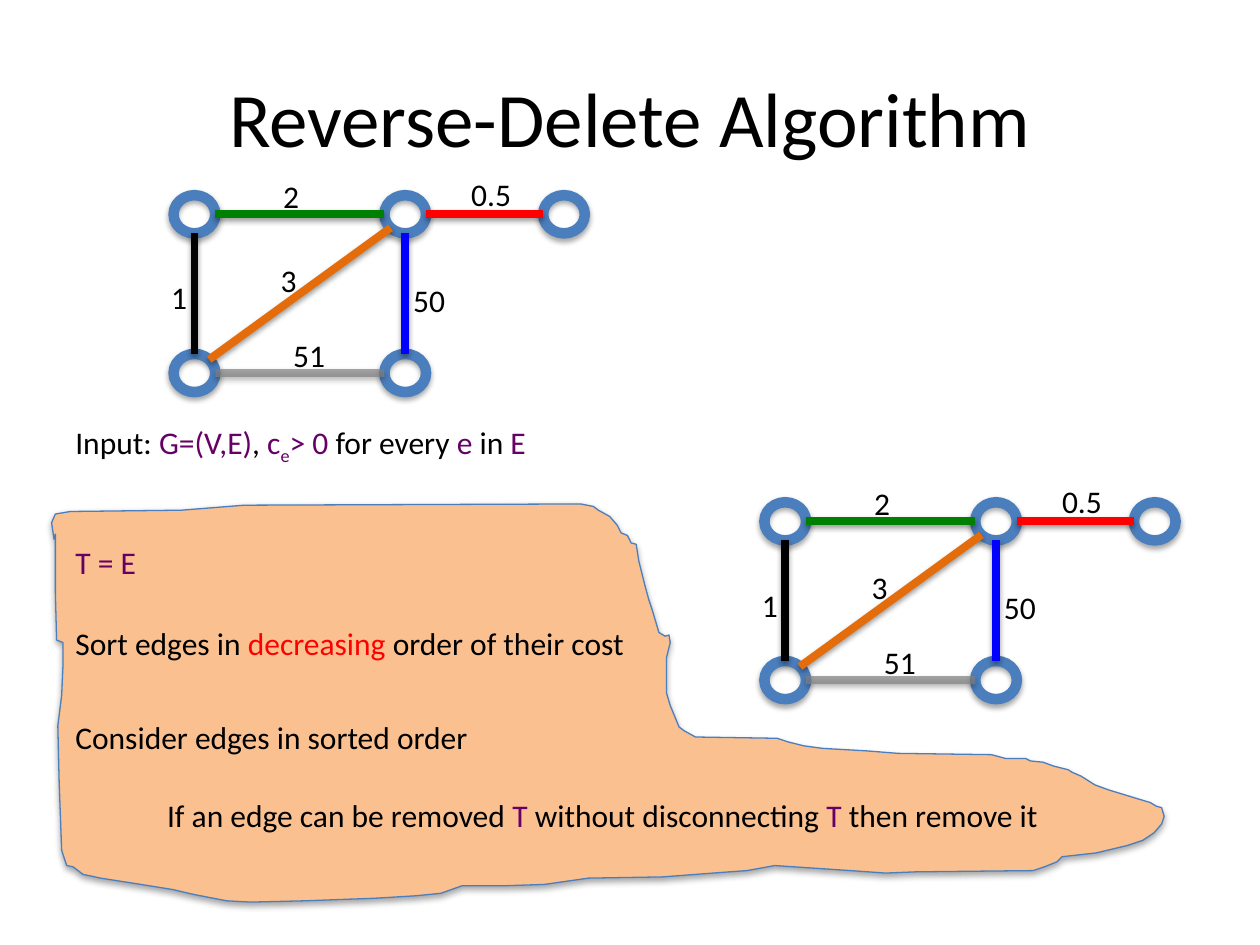
from dataclasses import dataclass
from math import hypot

from lxml import etree
from pptx import Presentation
from pptx.dml.color import RGBColor
from pptx.enum.shapes import MSO_CONNECTOR, MSO_SHAPE
from pptx.enum.text import MSO_ANCHOR, MSO_AUTO_SIZE, PP_ALIGN
from pptx.oxml.ns import qn
from pptx.util import Cm, Pt

LINE = MSO_CONNECTOR.STRAIGHT
OVAL = MSO_SHAPE.OVAL
LEFT, CENTER = PP_ALIGN.LEFT, PP_ALIGN.CENTER
TOP, MIDDLE = MSO_ANCHOR.TOP, MSO_ANCHOR.MIDDLE
GROW, FIXED = MSO_AUTO_SIZE.SHAPE_TO_FIT_TEXT, MSO_AUTO_SIZE.NONE


@dataclass(frozen=True)
class Theme:
    font: str = "Calibri"
    title: int = 44
    body: int = 18
    ring: float = 6
    edge: float = 4.5
    rim: float = 0.75
    ink: str = "000000"
    math: str = "660066"
    red: str = "FF0000"
    blue: str = "4B7EBC"
    peach: str = "FAC090"


@dataclass(frozen=True)
class Run:
    text: str
    color: str = Theme.ink
    base: int = 0


@dataclass(frozen=True)
class Note:
    x: float
    y: float
    width: float
    runs: tuple


@dataclass(frozen=True)
class Edge:
    start: str
    end: str
    cost: str
    color: str
    x: float
    y: float
    width: float = 0.84
    alpha: int = 100


THEME = Theme()
NODE_W, NODE_H = 0.84, 0.77
ROW_H = 1.02
NODES = {
    "a": (3.92, 4.32),
    "b": (8.17, 4.32),
    "c": (11.37, 4.32),
    "d": (8.17, 7.52),
    "e": (3.92, 7.52),
}
EDGES = (
    Edge("a", "b", "2", "008000", 5.46, 3.45),
    Edge("a", "e", "1", "000000", 3.2, 5.49),
    Edge("e", "d", "51", "808080", 5.66, 6.65, 1.17, 69),
    Edge("b", "d", "50", "0000FF", 8.08, 5.54, 1.17),
    Edge("b", "c", "0.5", "FF0000", 9.25, 3.4, 1.32),
    Edge("e", "b", "3", "E46C0A", 5.41, 5.13),
)
GRAPHS = ((0, 0), (11.91, 6.19))

M = THEME.math
NOTES = (
    Note(1.27, 8.41, 9.68, (
        Run("Input: "), Run("G=(V,E)", M), Run(", "), Run("c", M),
        Run("e", M, -25), Run("> 0 ", M), Run("for every "),
        Run("e", M), Run(" in "), Run("E", M))),
    Note(1.27, 10.82, 1.75, (Run("T = E", M),)),
    Note(1.27, 12.45, 11.68, (
        Run("Sort edges in "), Run("decreasing", THEME.red),
        Run(" order of their cost"))),
    Note(1.27, 14.35, 8.51, (Run("Consider edges in sorted order"),)),
    Note(3.12, 15.93, 18.54, (
        Run("If an edge can be removed "), Run("T", M),
        Run(" without disconnecting "), Run("T", M),
        Run(" then remove it"))),
)

UNIT = Cm(2.54) / 100
BLOB = (
    (44, 430), (44, 470), (45, 508), (50, 510), (50, 530), (49, 552),
    (46, 576), (47, 620), (49, 675), (53, 687), (58, 688), (66, 694),
    (80, 697), (112, 702), (137, 706), (154, 710), (180, 715), (199, 716),
    (242, 715), (297, 713), (330, 711), (350, 709), (367, 703), (402, 703),
    (432, 702), (467, 697), (526, 696), (579, 692), (593, 691), (615, 687),
    (675, 691), (703, 693), (727, 692), (820, 691), (829, 688), (839, 684),
    (843, 680), (870, 677), (895, 671), (907, 667), (916, 661), (922, 654),
    (924, 648), (922, 641), (918, 640), (913, 637), (903, 634), (880, 627),
    (869, 623), (858, 616), (851, 613), (848, 611), (836, 608), (828, 605),
    (818, 604), (814, 602), (798, 602), (787, 599), (713, 598), (688, 596),
    (653, 594), (638, 592), (626, 589), (617, 586), (552, 585), (543, 580),
    (539, 577), (532, 560), (529, 550), (529, 522), (532, 510), (531, 504),
    (528, 505), (523, 502), (518, 485), (515, 476), (512, 465), (507, 445),
    (505, 432), (501, 431), (498, 425), (493, 423), (490, 417), (484, 410),
    (475, 405), (471, 402), (461, 400), (194, 401), (144, 405), (56, 406),
    (44, 408), (41, 415), (43, 428), (44, 424),
)


def rgb(color: str) -> RGBColor:
    return RGBColor.from_string(color)


def shade(item, alpha: int, gap: int) -> None:
    box = etree.SubElement(item.element.spPr, qn("a:effectLst"))
    glow = etree.SubElement(
        box, qn("a:outerShdw"), blurRad="40000", dist=str(gap),
        dir="5400000", rotWithShape="0")
    tint = etree.SubElement(glow, qn("a:srgbClr"), val=THEME.ink)
    etree.SubElement(tint, qn("a:alpha"), val=str(alpha * 1000))


def stroke(item, color: str, width: float) -> None:
    item.line.color.rgb = rgb(color)
    item.line.width = Pt(width)


def add_text(shapes, runs, x, y, width, *, height=ROW_H, size=THEME.body,
             align=LEFT, anchor=TOP, wrap=False, fit=GROW) -> None:
    box = shapes.add_textbox(Cm(x), Cm(y), Cm(width), Cm(height))
    frame = box.text_frame
    frame.word_wrap = wrap
    frame.auto_size = fit
    frame.vertical_anchor = anchor
    para = frame.paragraphs[0]
    para.alignment = align
    for part in runs:
        run = para.add_run()
        run.text = part.text
        run.font.name = THEME.font
        run.font.size = Pt(size)
        run.font.color.rgb = rgb(part.color)
        if part.base:
            run.font._element.set("baseline", str(part.base * 1000))


def add_blob(shapes) -> None:
    pen = shapes.build_freeform(*BLOB[0], scale=UNIT)
    pen.add_line_segments(BLOB[1:], close=True)
    blob = pen.convert_to_shape()
    blob.fill.solid()
    blob.fill.fore_color.rgb = rgb(THEME.peach)
    stroke(blob, THEME.blue, THEME.rim)
    shade(blob, 35, 23000)


def add_node(shapes, x: float, y: float) -> None:
    node = shapes.add_shape(
        OVAL, Cm(x - NODE_W / 2), Cm(y - NODE_H / 2), Cm(NODE_W), Cm(NODE_H))
    node.fill.background()
    stroke(node, THEME.blue, THEME.ring)
    shade(node, 35, 23000)


def rim_point(start: tuple, end: tuple) -> tuple:
    dx = (end[0] > start[0]) - (end[0] < start[0])
    dy = (end[1] > start[1]) - (end[1] < start[1])
    size = 2 * hypot(dx, dy)
    return start[0] + dx * NODE_W / size, start[1] + dy * NODE_H / size


def add_edge(shapes, edge: Edge, left: float, top: float) -> None:
    start, end = NODES[edge.start], NODES[edge.end]
    ends = rim_point(start, end), rim_point(end, start)
    spots = [Cm(v) for x, y in ends for v in (x + left, y + top)]
    link = shapes.add_connector(LINE, *spots)
    stroke(link, edge.color, edge.edge if hasattr(edge, "edge") else THEME.edge)
    if edge.alpha < 100:
        tint = link.element.spPr.find(".//" + qn("a:srgbClr"))
        etree.SubElement(tint, qn("a:alpha"), val=str(edge.alpha * 1000))
    shade(link, 38, 20000)


def add_graph(shapes, left: float, top: float) -> None:
    group = shapes.add_group_shape().shapes
    for x, y in NODES.values():
        add_node(group, x + left, y + top)
    for edge in EDGES:
        add_edge(group, edge, left, top)
    for edge in EDGES:
        add_text(group, (Run(edge.cost),), edge.x + left, edge.y + top,
                 edge.width)


deck = Presentation()
deck.slide_width, deck.slide_height = Cm(25.4), Cm(19.05)
slide = deck.slides.add_slide(deck.slide_layouts[6])
add_blob(slide.shapes)
add_text(slide.shapes, (Run("Reverse-Delete Algorithm"),), 1.27, 0.76, 22.86,
         height=3.18, size=THEME.title, align=CENTER, anchor=MIDDLE,
         wrap=True, fit=FIXED)
for note in NOTES:
    add_text(slide.shapes, note.runs, note.x, note.y, note.width)
for place in GRAPHS:
    add_graph(slide.shapes, *place)
deck.save("out.pptx")
